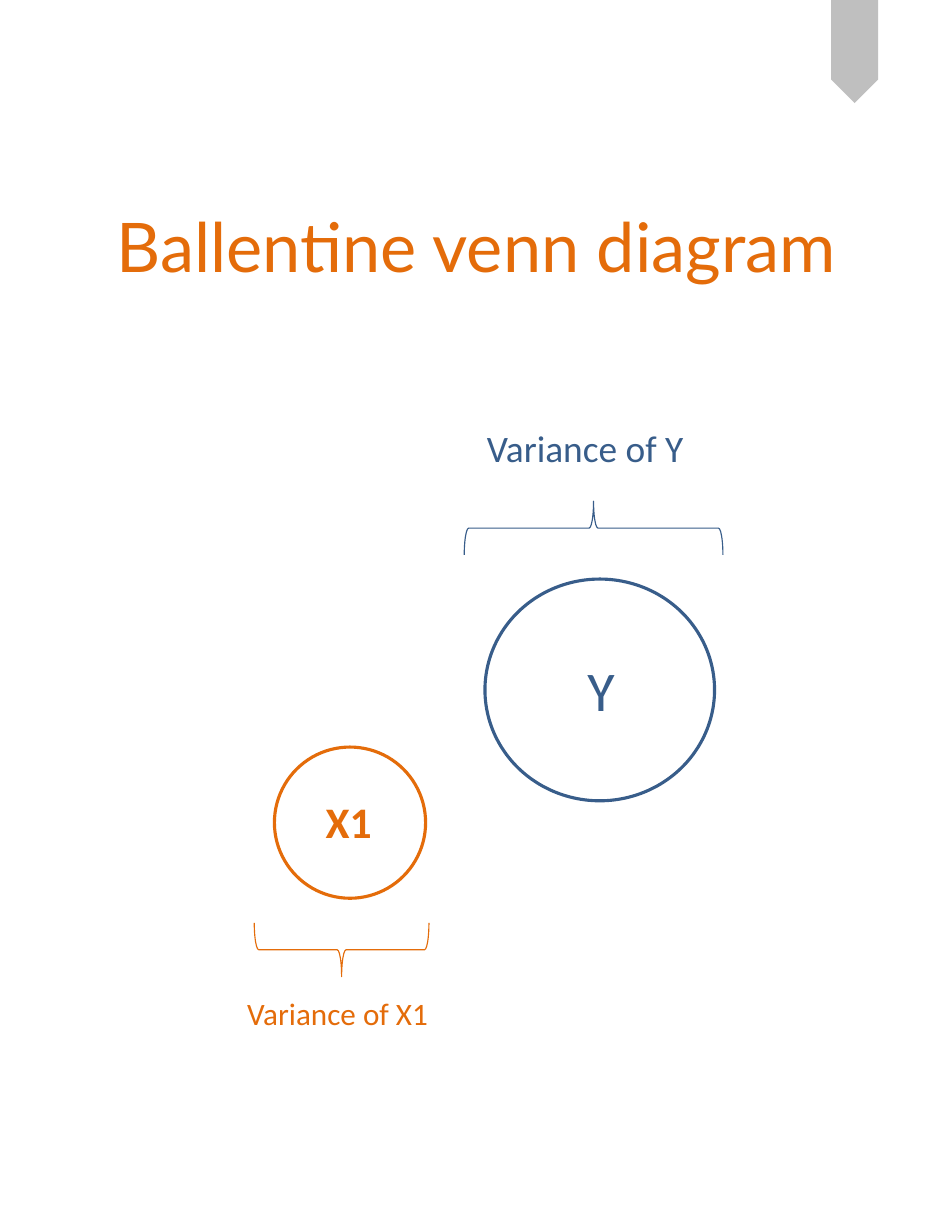
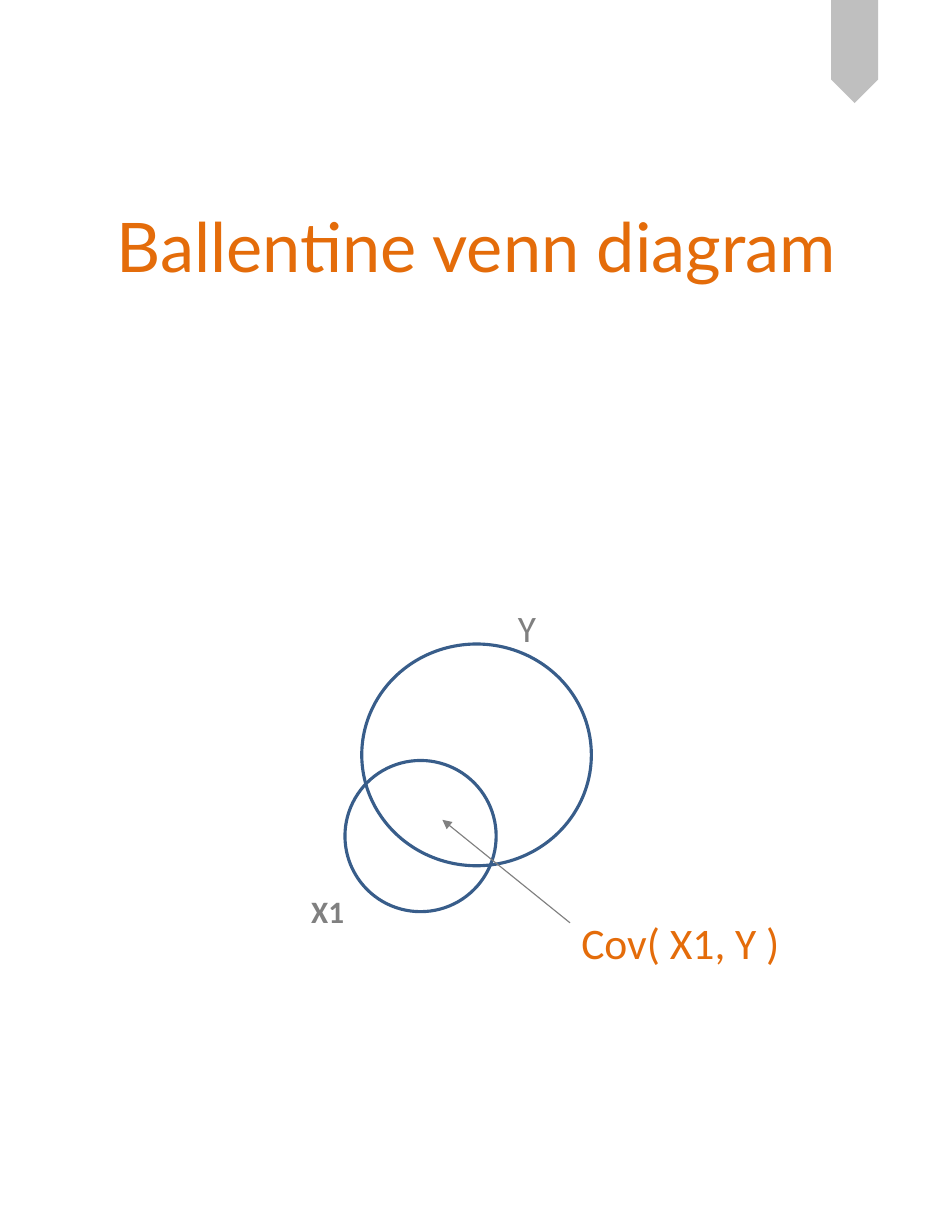
from dataclasses import dataclass

from lxml import etree
from pptx import Presentation
from pptx.dml.color import RGBColor
from pptx.enum.shapes import MSO_CONNECTOR, MSO_SHAPE
from pptx.enum.text import MSO_ANCHOR, MSO_AUTO_SIZE, PP_ALIGN
from pptx.oxml.ns import qn
from pptx.util import Pt

EMU_PER_PX = 9144  # 100 px to the inch
PAGE_SIZE = (850, 1100)
TITLE_ONLY = 5
ELLIPSE, BRACE, RIBBON = MSO_SHAPE.OVAL, MSO_SHAPE.RIGHT_BRACE, MSO_SHAPE.PENTAGON
STRAIGHT = MSO_CONNECTOR.STRAIGHT
MIDDLE = MSO_ANCHOR.MIDDLE
LEFT, CENTER = PP_ALIGN.LEFT, PP_ALIGN.CENTER
FIXED, GROW = MSO_AUTO_SIZE.NONE, MSO_AUTO_SIZE.SHAPE_TO_FIT_TEXT


@dataclass(frozen=True)
class Theme:
    orange: str = "E46C0A"
    blue: str = "385D8A"
    gray: str = "808080"
    ribbon: str = "BFBFBF"
    title_font: str = "Lato"
    body_font: str = "Calibri"
    title: int = 44
    symbol: int = 36
    large: int = 28
    medium: int = 24
    small: int = 20
    thick: float = 2
    thin: float = 0.75


THEME = Theme()
Y_SIZE = (205, 198)
X1_SIZE = (135, 135)


def px(*lengths):
    return [length * EMU_PER_PX for length in lengths]


def set_all(target, values):
    for name, value in values.items():
        setattr(target, name, value)


def write(box, text, size, color, font=THEME.body_font, bold=False,
          align=CENTER, **frame_format):
    set_all(box.text_frame, frame_format)
    para = box.text_frame.paragraphs[0]
    para.alignment = align
    span = para.add_run()
    span.text = text
    set_all(span.font, {"name": font, "size": Pt(size), "bold": bold})
    span.font.color.rgb = RGBColor.from_string(color)


def stroke(item, color, width):
    item.line.color.rgb = RGBColor.from_string(color)
    item.line.width = Pt(width)


def add_label(page, frame, text, size, color, **text_format):
    box = page.shapes.add_textbox(*px(*frame))
    write(box, text, size, color, word_wrap=False, auto_size=GROW, **text_format)


def add_outline(page, kind, frame, color, width, rotation=0):
    shape = page.shapes.add_shape(kind, *px(*frame))
    shape.shadow.inherit = False
    shape.rotation = rotation
    shape.fill.background()
    stroke(shape, color, width)


def add_circle(page, left, top, size, color):
    add_outline(page, ELLIPSE, (left, top, *size), color, THEME.thick)


def add_brace(page, frame, color, rotation):
    add_outline(page, BRACE, frame, color, THEME.thin, rotation)


def add_arrow(page, start, end, color):
    arrow = page.shapes.add_connector(STRAIGHT, *px(*start, *end))
    stroke(arrow, color, THEME.thin)
    etree.SubElement(arrow.line._get_or_add_ln(), qn("a:tailEnd"), type="triangle")
    etree.SubElement(arrow._element.spPr, qn("a:effectLst"))


def add_page(deck):
    """Page with the shared corner ribbon and title."""
    page = deck.slides.add_slide(deck.slide_layouts[TITLE_ONLY])
    ribbon = page.shapes.add_shape(RIBBON, *px(717, 25, 92, 42))
    ribbon.shadow.inherit = False
    ribbon.rotation = 90
    ribbon.fill.solid()
    ribbon.fill.fore_color.rgb = RGBColor.from_string(THEME.ribbon)
    ribbon.line.fill.background()

    title = page.shapes.title
    set_all(title, dict(zip(("left", "top", "width", "height"), px(43, 127, 765, 183))))
    write(title, "Ballentine venn diagram", THEME.title, THEME.orange,
          font=THEME.title_font, vertical_anchor=MIDDLE, word_wrap=True, auto_size=FIXED)
    return page


def build_variances(deck):
    page = add_page(deck)
    # Variance of X1
    add_label(page, (281, 705, 62, 57), "X1", THEME.large, THEME.orange,
              bold=True, align=LEFT)
    add_circle(page, 245, 667, X1_SIZE, THEME.orange)
    add_brace(page, (281, 770, 48, 156), THEME.orange, 90)
    add_label(page, (210, 883, 183, 44), "Variance of X1", THEME.small, THEME.orange)
    # Variance of Y
    add_circle(page, 433, 517, Y_SIZE, THEME.blue)
    add_label(page, (514, 580, 45, 71), "Y", THEME.symbol, THEME.blue)
    add_brace(page, (506, 356, 48, 231), THEME.blue, 270)
    add_label(page, (424, 375, 197, 50), "Variance of Y", THEME.medium, THEME.blue)


def build_covariance(deck):
    page = add_page(deck)
    # Overlapping circles
    add_label(page, (268, 792, 50, 44), "X1", THEME.small, THEME.gray,
              bold=True, align=LEFT)
    add_circle(page, 308, 679, X1_SIZE, THEME.blue)
    add_circle(page, 323, 575, Y_SIZE, THEME.blue)
    add_label(page, (452, 535, 37, 50), "Y", THEME.medium, THEME.gray)
    # Callout for the overlap
    add_label(page, (508, 813, 199, 57), "Cov( X1, Y )", THEME.large, THEME.orange)
    add_arrow(page, (509, 824), (395, 732), THEME.gray)


def main():
    deck = Presentation()
    deck.slide_width, deck.slide_height = px(*PAGE_SIZE)
    build_variances(deck)
    build_covariance(deck)
    deck.save("out.pptx")


if __name__ == "__main__":
    main()
